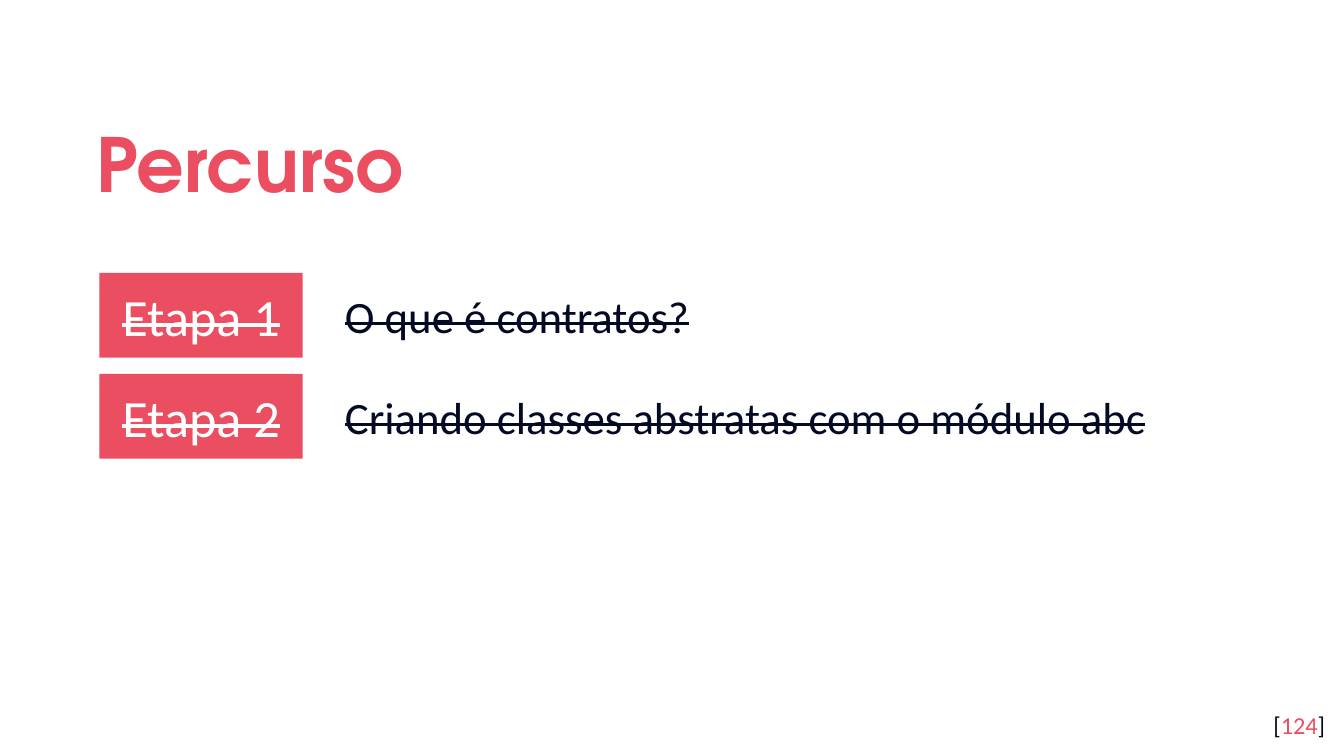
from pptx import Presentation
from pptx.dml.color import RGBColor
from pptx.enum.shapes import MSO_SHAPE
from pptx.enum.text import MSO_ANCHOR, PP_ALIGN
from pptx.util import Cm, Pt

RECT = MSO_SHAPE.RECTANGLE
TOP, MIDDLE = MSO_ANCHOR.TOP, MSO_ANCHOR.MIDDLE
LEFT, CENTER, RIGHT = PP_ALIGN.LEFT, PP_ALIGN.CENTER, PP_ALIGN.RIGHT

# Content
TITLE = "Percurso"
STEPS = [
    ("Etapa 1", "O que é contratos?"),
    ("Etapa 2", "Criando classes abstratas com o módulo abc"),
]
PAGE = [("[", "dark"), ("124", "red"), ("]", "dark")]

THEME = {
    "red": RGBColor(0xEA, 0x4E, 0x60),
    "dark": RGBColor(0x04, 0x0A, 0x24),
    "white": RGBColor(0xFF, 0xFF, 0xFF),
    "head": "TeX Gyre Adventor",
    "body": "Calibri",
    "title": 40,
    "label": 28,
    "topic": 24,
    "page": 13,
}

# Layout in cm
PAD = 0.25
LABEL_X, LABEL_Y, LABEL_W, LABEL_H = 1.88, 5.16, 3.84, 1.6
TOPIC_X, TOPIC_W, TOPIC_H = 6.27, 17.15, 1.27
PITCH = 1.91
HANG = 1.27


def set_frame(shape, anchor, align, pad=PAD):
    frame = shape.text_frame
    frame.word_wrap = True
    frame.vertical_anchor = anchor
    frame.margin_left = frame.margin_right = Cm(PAD)
    frame.margin_top = frame.margin_bottom = Cm(pad)
    para = frame.paragraphs[0]
    para.alignment = align
    return para


def set_indent(para, left, first):
    props = para._p.get_or_add_pPr()
    props.set("marL", str(Cm(left)))
    props.set("indent", str(Cm(first)))


def add_run(para, text, size, color, font="body", bold=False, strike=False):
    run = para.add_run()
    run.text = text
    run.font.name = THEME[font]
    run.font.size = Pt(THEME[size])
    run.font.color.rgb = THEME[color]
    run.font.bold = bold
    if strike:
        run.font._element.set("strike", "sngStrike")


def add_box(slide, x, y, w, h, anchor, align, pad=PAD):
    box = slide.shapes.add_textbox(Cm(x), Cm(y), Cm(w), Cm(h))
    return set_frame(box, anchor, align, pad)


def add_step(slide, row, label, topic):
    y = LABEL_Y + row * PITCH

    # Red label
    rect = slide.shapes.add_shape(
        RECT, Cm(LABEL_X), Cm(y), Cm(LABEL_W), Cm(LABEL_H))
    rect.shadow.inherit = False
    rect.fill.solid()
    rect.fill.fore_color.rgb = THEME["red"]
    rect.line.fill.background()
    para = set_frame(rect, MIDDLE, CENTER)
    para.level = 1
    set_indent(para, 0, 0)
    add_run(para, label, "label", "white", strike=True)

    # Topic, centred on its label
    top = y + (LABEL_H - TOPIC_H) / 2
    para = add_box(slide, TOPIC_X, top, TOPIC_W, TOPIC_H, TOP, LEFT, PAD / 2)
    set_indent(para, HANG, -HANG)
    add_run(para, topic, "topic", "dark", strike=True)


def main():
    deck = Presentation()
    deck.slide_width, deck.slide_height = Cm(25.4), Cm(14.29)
    slide = deck.slides.add_slide(deck.slide_layouts[6])

    # Title
    para = add_box(slide, 1.57, 1.78, 20.57, 2.34, MIDDLE, LEFT)
    para.line_spacing = 1.15
    add_run(para, TITLE, "title", "red", font="head", bold=True)

    # Steps
    for row, (label, topic) in enumerate(STEPS):
        add_step(slide, row, label, topic)

    # Page number
    para = add_box(slide, 23.77, 13.18, 1.52, 1.09, TOP, RIGHT)
    for text, color in PAGE:
        add_run(para, text, "page", color)

    deck.save("out.pptx")


if __name__ == "__main__":
    main()
